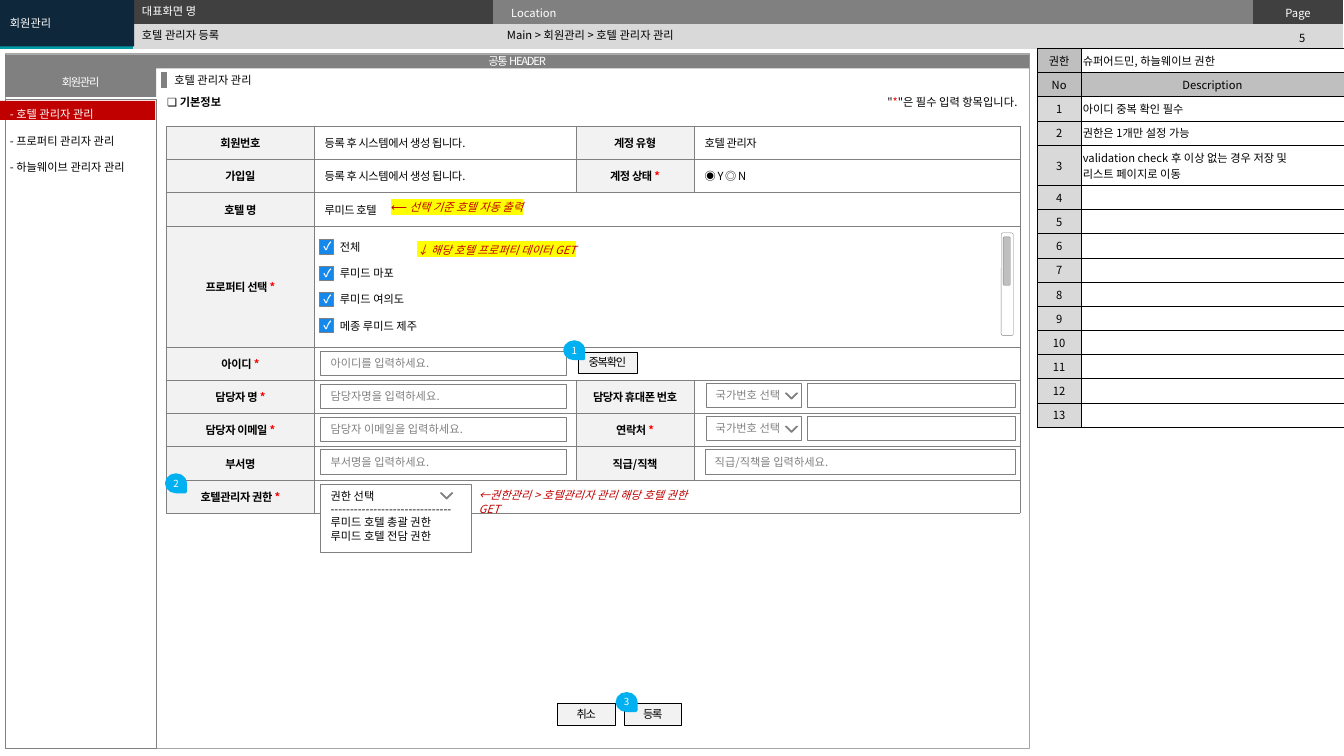
from lxml.etree import SubElement as Sub
from pptx import Presentation
from pptx.dml.color import RGBColor as Rgb
from pptx.enum.shapes import MSO_CONNECTOR as Conn, MSO_SHAPE as Kind
from pptx.enum.text import MSO_ANCHOR as Anchor, PP_ALIGN as Align
from pptx.oxml.ns import qn
from pptx.util import Inches, Pt

# Content
TOP = [["", "", "Location", "Page"], ["", "", "", ""]]
CRUMBS = [  # x, y, w, h, text, colour
    (1.31, 0.24, 3.63, 0.22, "호텔 관리자 등록", "black"),
    (4.93, 0.23, 7.38, 0.24, "Main > 회원관리 > 호텔 관리자 관리", "black"),
    (1.31, 0, 3.62, 0.22, "대표화면 명", "white"),
]
MENU = ["- 호텔 관리자 관리", "- 프로퍼티 관리자 관리", "- 하늘웨이브 관리자 관리"]
NOTES = ["아이디 중복 확인 필수", "권한은 1개만 설정 가능",
         "validation check 후 이상 없는 경우 저장 및\n리스트 페이지로 이동"]
NOTES += [""] * (13 - len(NOTES))
DESC = [["권한", "슈퍼어드민, 하늘웨이브 권한"], ["No", "Description"]]
DESC += [[str(n), note] for n, note in enumerate(NOTES, 1)]
AUTO = "등록 후 시스템에서 생성 됩니다."
FORM = [  # two-item rows span the last three columns
    ["회원번호", AUTO, "계정 유형", "호텔 관리자"],
    ["가입일", AUTO, "계정 상태 *", "◉ Y ◎ N"],
    ["호텔 명", "루미드 호텔"],
    ["프로퍼티 선택 *", ""],
    ["아이디 *", ""],
    ["담당자 명 *", "", "담당자 휴대폰 번호", ""],
    ["담당자 이메일 *", "", "연락처 *", ""],
    ["부서명", "", "직급/직책", ""],
    ["호텔관리자 권한 *", ""],
]
FIELDS = [  # x, y, w, hint
    (3.18, 3.48, 2.44, "아이디를 입력하세요."),
    (3.18, 3.81, 2.44, "담당자명을 입력하세요."),
    (3.18, 4.14, 2.44, "담당자 이메일을 입력하세요."),
    (3.18, 4.46, 2.44, "부서명을 입력하세요."),
    (6.99, 4.46, 3.08, "직급/직책을 입력하세요."),
]
PHONES = [3.8, 4.13]
CHECKS = ["전체", "루미드 마포", "루미드 여의도", "메종 루미드 제주"]
BUTTONS = [(5.53, 6.98, 0.57, "취소"), (6.19, 6.98, 0.57, "등록"),
           (5.73, 3.49, 0.59, "중복확인")]
PINS = [(5.61, 3.38, "1"), (1.66, 4.7, "2"), (6.13, 6.87, "3")]
ROLES = ["권한 선택", "-" * 31, "루미드 호텔 총괄 권한", "루미드 호텔 전담 권한"]

THEME = {
    "font": "Noto Sans CJK KR", "alt": "Lato", "size": 8, "small": 7,
    "black": "000000", "white": "FFFFFF", "dark": "404040", "gray": "808080",
    "frame": "A6A6A6", "mid": "BFBFBF", "light": "D9D9D9", "pale": "F2F2F2",
    "navy": "0E273B", "teal": "009CA6", "red": "C00000", "star": "FF0000",
    "blue": "1588EC", "pin": "00B0F0", "mark": "FFFF00", "arrow": "5F5F5F",
}
FLAT = (0, 0, 0, 0)
BAR = (0.04, 0.05, 0.04, 0.05)
PAD = (0.1, 0.05, 0.1, 0.05)

deck = Presentation()
deck.slide_width, deck.slide_height = Inches(13.33), Inches(7.5)
slide = deck.slides.add_slide(deck.slide_layouts[6])
shapes = slide.shapes


def hue(name):
    return Rgb.from_string(THEME[name])


def paint(fill, name):
    if name:
        fill.solid()
        fill.fore_color.rgb = hue(name)
    else:
        fill.background()


def style(run, color, size="size", face="font", bold=False, italic=False, gap=0, mark=None):
    font = run.font
    look = {"size": Pt(THEME[size]), "bold": bold, "italic": italic, "name": THEME[face]}
    for key, value in look.items():
        setattr(font, key, value)
    font.color.rgb = hue(color)
    props = run._r.get_or_add_rPr()
    if gap:
        props.set("spc", str(round(gap * 100)))
    if mark:
        light = Sub(props, qn("a:highlight"))
        Sub(light, qn("a:srgbClr")).set("val", THEME[mark])
        props.find(qn("a:latin")).addprevious(light)
    Sub(props, qn("a:ea")).set("typeface", THEME["font"])


def write(frame, text, color="black", align=Align.LEFT, lead=None, first=None, **look):
    for i, line in enumerate(text.split("\n")):
        para = frame.add_paragraph() if i else frame.paragraphs[0]
        para.alignment = align
        if lead:
            para.line_spacing = Pt(lead)
        ink = first if first and i == 0 else color
        head, star, tail = line.partition("*")
        for part, tone in ((head, ink), (star, "star"), (tail, ink)):
            if part:
                run = para.add_run()
                run.text = part
                style(run, tone, **look)
        if not line:
            Sub(para._p, qn("a:endParaRPr")).set("sz", str(THEME["size"] * 100))


def fit(frame, pad, anchor, wrap=True):
    left, top, right, low = map(Inches, pad)
    setup = {"margin_left": left, "margin_top": top, "margin_right": right,
             "margin_bottom": low, "vertical_anchor": anchor, "word_wrap": wrap}
    for key, value in setup.items():
        setattr(frame, key, value)


def label(x, y, w, h, text, pad=PAD, anchor=Anchor.TOP, wrap=True, **look):
    frame = shapes.add_textbox(*map(Inches, (x, y, w, h))).text_frame
    fit(frame, pad, anchor, wrap)
    write(frame, text, **look)


def box(x, y, w, h, fill=None, line=None, width=0.25, text="", pad=PAD,
        anchor=Anchor.MIDDLE, kind=Kind.RECTANGLE, **look):
    shape = shapes.add_shape(kind, *map(Inches, (x, y, w, h)))
    shape.shadow.inherit = False
    paint(shape.fill, fill)
    paint(shape.line.fill, line)
    if line:
        shape.line.width = Pt(width)
    if text:
        fit(shape.text_frame, pad, anchor)
        write(shape.text_frame, text, **look)
    return shape


def edge(cell, name, width):
    props = cell._tc.get_or_add_tcPr()
    for side in ("a:lnL", "a:lnR", "a:lnT", "a:lnB"):
        rule = Sub(props, qn(side))
        if name:
            rule.set("w", str(Pt(width)))
            Sub(Sub(rule, qn("a:solidFill")), qn("a:srgbClr")).set("val", THEME[name])
        else:
            rule.set("w", "0")
            Sub(rule, qn("a:noFill"))


def grid(x, y, cols, rows, data, look, line=None, width=0.25, pad=PAD, anchor=Anchor.MIDDLE):
    area = map(Inches, (x, y, sum(cols), sum(rows)))
    table = shapes.add_table(len(rows), len(cols), *area).table
    table.first_row = table.horz_banding = False
    for col, size in zip(table.columns, cols):
        col.width = Inches(size)
    for row, size in zip(table.rows, rows):
        row.height = Inches(size)
    for r, texts in enumerate(data):
        for c in range(len(cols)):
            cell = table.cell(r, c)
            fill, form = look(r, c)
            edge(cell, line, width)
            paint(cell.fill, fill)
            left, top, right, low = map(Inches, pad)
            for key, value in {"margin_left": left, "margin_top": top, "margin_right": right,
                               "margin_bottom": low, "vertical_anchor": anchor}.items():
                setattr(cell, key, value)
            write(cell.text_frame, texts[c] if c < len(texts) else "", **form)
        if len(texts) < len(cols):
            table.cell(r, len(texts) - 1).merge(table.cell(r, len(cols) - 1))
    return table


def chevron(x, y):
    pen = shapes.build_freeform(Inches(x - 0.05), Inches(y), 1)
    turns = [(0, 0.05), (0.05, 0), (0.06, 0), (0, 0.06), (-0.06, 0)]
    pen.add_line_segments([(Inches(x + dx), Inches(y + dy)) for dx, dy in turns], close=True)
    shape = pen.convert_to_shape()
    shape.shadow.inherit = False
    paint(shape.fill, "arrow")
    paint(shape.line.fill, "gray")
    shape.line.width = Pt(0.75)


# Top bar
def toplook(r, c):
    fills = ["teal", "dark", "gray", "dark"] if r == 0 else ["teal"] + ["light"] * 3
    return fills[c], {"color": "white", "align": Align.CENTER if c == 3 else Align.LEFT}


bar = grid(0, 0, [1.32, 3.57, 7.54, 0.89], [0.24, 0.24], TOP, toplook,
           pad=(0.18, 0.04, 0.18, 0.04))
bar.cell(0, 0).merge(bar.cell(1, 0))
label(12.48, 0.26, 0.87, 0.24, "5", align=Align.CENTER)
for x, y, w, h, text, color in CRUMBS:
    label(x, y, w, h, text, color=color, anchor=Anchor.MIDDLE)
box(0, 0, 1.33, 0.46, "navy", text="회원관리", color="white")

# Page frame and headers
box(0.05, 0.53, 10.16, 6.89, line="frame")
box(0.05, 0.98, 1.5, 6.44, line="gray")
for w, y, h, text in [(10.16, 0.54, 0.14, "공통 HEADER"), (1.5, 0.67, 0.29, "회원관리")]:
    box(0.05, y, w, h, "gray", text=text, pad=BAR, color="white", align=Align.CENTER, gap=-0.9)


# Description table
def desclook(r, c):
    fill = "mid" if r == 1 or (r == 0 and c == 0) else None if c else "light"
    return fill, {"align": Align.CENTER if c == 0 or r == 1 else Align.LEFT}


grid(10.29, 0.48, [0.43, 2.61], [0.24 if r != 4 else 0.4 for r in range(len(DESC))], DESC,
     desclook, "black", 0.5, (0.02, 0.04, 0.02, 0.04))

# Title and form table
label(1.63, 0.68, 2.41, 0.24, "호텔 관리자 관리")
tick = shapes.add_connector(Conn.STRAIGHT, *map(Inches, (1.63, 0.71, 1.63, 0.87)))
tick.line.color.rgb = hue("gray")
tick.line.width = Pt(4.5)
Sub(tick._element.spPr, qn("a:effectLst"))


def formlook(r, c):
    head = c % 2 == 0 and c < len(FORM[r])
    return ("pale" if head else "white"), {
        "bold": head, "align": Align.CENTER if head else Align.LEFT, "gap": -0.3}


grid(1.65, 1.25, [1.47, 2.59, 1.18, 3.23], [1.2 if r == 3 else 0.33 for r in range(len(FORM))],
     FORM, formlook, "gray")
label(1.56, 0.9, 0.9, 0.24, "❏ 기본정보", wrap=False, bold=True)
label(8.53, 0.9, 1.66, 0.24, '"*"은 필수 입력 항목입니다.', wrap=False, align=Align.RIGHT)

# Inputs and buttons
for x, y, w, text in BUTTONS:
    box(x, y, w, 0.21, "pale", "black", text=text, pad=FLAT, align=Align.CENTER, gap=-0.9)
for x, y, w, text in FIELDS:
    box(x, y, w, 0.24, "white", "gray", text=text, color="gray")
for y in PHONES:
    box(7, y, 0.95, 0.24, "white", "gray", text="국가번호 선택", color="gray")
    box(8.01, y, 2.06, 0.24, "white", "gray")
    chevron(7.85, y + 0.1)

# Property list and scroll bar
for i, text in enumerate(CHECKS):
    y = 2.38 + 0.26 * i
    box(3.17, y, 0.14, 0.14, "blue", "gray", 0.5)
    label(3.29, y - 0.04, 0.96, 0.22, text, (0.08, 0.04, 0.08, 0.04), Anchor.MIDDLE,
          False, face="alt")
    label(3.11, y - 0.05, 0.29, 0.24, "✓", wrap=False, color="white", bold=True)
box(9.93, 2.31, 0.12, 1.02, line="gray", kind=Kind.ROUNDED_RECTANGLE)
box(9.95, 2.35, 0.07, 0.48, "mid", "gray", kind=Kind.ROUNDED_RECTANGLE)

# Side menu
box(0, 1, 1.54, 0.19, "red")
label(0, 0.88, 1.5, 0.87, "\n".join(MENU), lead=19.2, first="white")

# Role list and remarks
box(3.18, 4.8, 1.49, 0.68, "white", "gray", text="\n".join(ROLES), anchor=Anchor.TOP, lead=9.6)
chevron(4.43, 4.89)
for x, y, w, text, mark in [
    (4.04, 2.36, 6.1, "↓ 해당 호텔 프로퍼티 데이터 GET", "mark"),
    (3.78, 1.94, 1.81, "⟵ 선택 기준 호텔 자동 출력", "mark"),
    (4.65, 4.8, 2.4, "←권한관리 > 호텔관리자 관리 해당 호텔 권한 GET", None),
]:
    label(x, y, w, 0.24, text, color="red", italic=True, mark=mark, lead=9.6)

# Numbered pins
for x, y, text in PINS:
    pin = box(x, y, 0.17, 0.19, "pin", "pin", 2, text, FLAT, kind=Kind.TEAR,
              color="white", size="small", align=Align.CENTER)
    pin.rotation = 90
    pin.text_frame._txBody.bodyPr.set("vert", "vert270")

deck.save("out.pptx")
